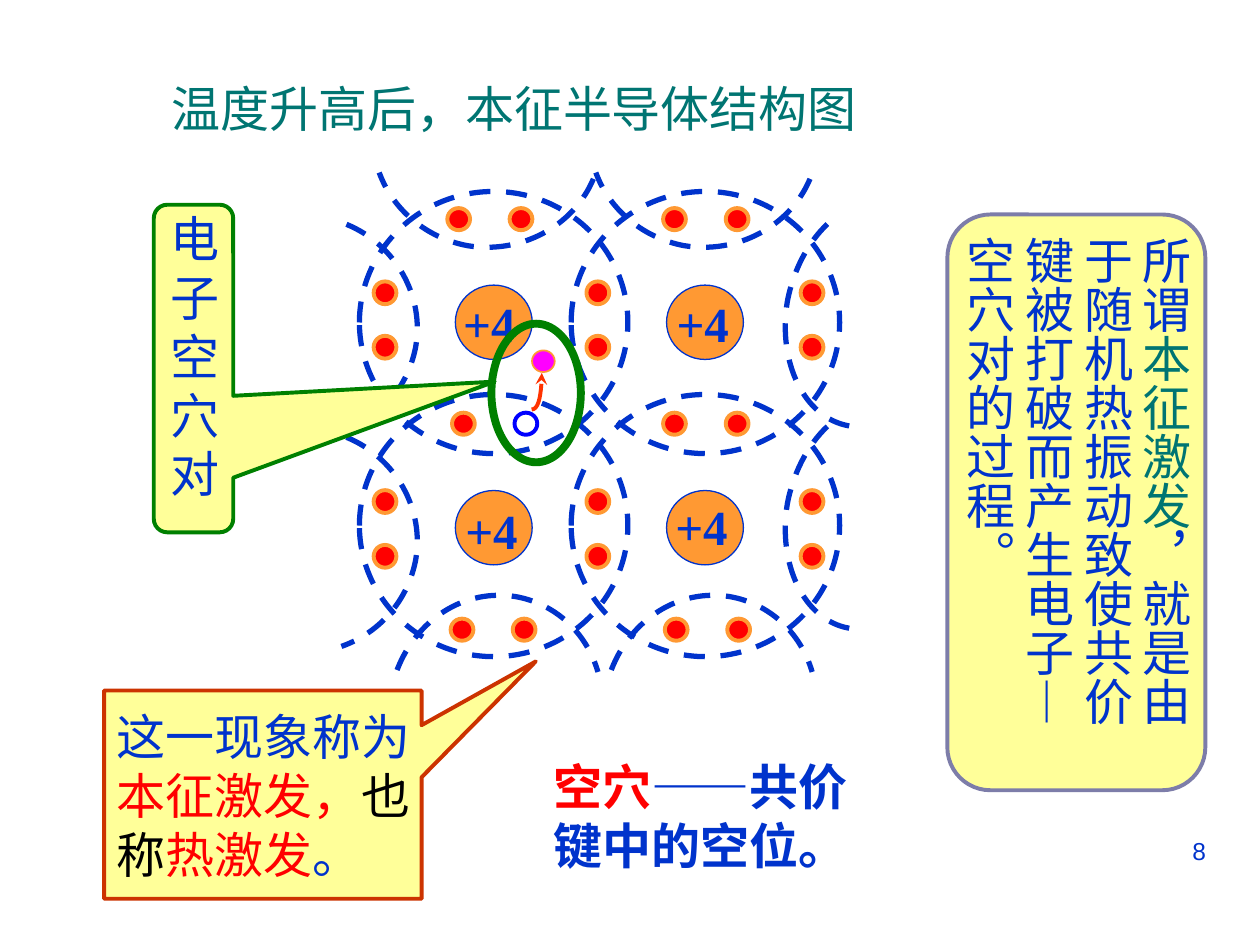
from itertools import product

from lxml.etree import SubElement
from pptx import Presentation
from pptx.dml.color import RGBColor
from pptx.enum.dml import MSO_LINE_DASH_STYLE as DASH
from pptx.enum.shapes import MSO_SHAPE as SHAPE
from pptx.enum.text import MSO_ANCHOR as ANCHOR, PP_ALIGN as ALIGN
from pptx.oxml.ns import qn
from pptx.util import Pt

COLORS = {
    "blue": "0033CC", "teal": "007572", "orange": "FF9933", "red": "FF0000",
    "magenta": "FF00FF", "hole": "0000FF", "arrow": "FF3300", "yellow": "FFFF99",
    "rust": "CC3300", "slate": "7D7DA9", "green": "008000", "black": "000000",
}


def paint(shape, fill, line, width, dash=None):
    shape.shadow.inherit = False
    if fill:
        shape.fill.solid()
        shape.fill.fore_color.rgb = RGBColor.from_string(COLORS[fill])
    else:
        shape.fill.background()
    shape.line.color.rgb = RGBColor.from_string(COLORS[line])
    shape.line.width = Pt(width)
    if dash:
        shape.line.dash_style = dash


def write(shape, paragraphs, align=ALIGN.LEFT, size=28, font="Arial", bold=False, **frame_format):
    frame = shape.text_frame
    for name, value in {"word_wrap": True, "vertical_anchor": ANCHOR.TOP, **frame_format}.items():
        setattr(frame, name, value)
    for index, runs in enumerate(paragraphs):
        paragraph = frame.add_paragraph() if index else frame.paragraphs[0]
        paragraph.alignment = align
        for text, color, *other_font in runs:
            run = paragraph.add_run()
            run.text = text
            run.font.color.rgb = RGBColor.from_string(COLORS[color])
            run_format = {"size": Pt(size), "bold": bold, "name": other_font[0] if other_font else font}
            for name, value in run_format.items():
                setattr(run.font, name, value)


presentation = Presentation()
presentation.slide_width, presentation.slide_height = Pt(720), Pt(540)
slide = presentation.slides.add_slide(presentation.slide_layouts[5])
shapes = slide.shapes

title = shapes.title
for name, value in {"left": 71.3, "top": 41, "width": 445, "height": 41}.items():
    setattr(title, name, Pt(value))
write(title, [[("温度升高后，本征半导体结构图", "teal")]], ALIGN.CENTER, vertical_anchor=ANCHOR.MIDDLE)

page_number = shapes.add_textbox(Pt(516.2), Pt(474), Pt(180), Pt(37.4))
write(page_number, [[("8", "blue")]], ALIGN.RIGHT, size=14)

lattice = shapes.add_group_shape().shapes
STYLES = {
    "shell": (None, "blue", 3, DASH.DASH),
    "nucleus": ("orange", "blue", 0.75),
    "electron": ("red", "orange", 2.25),
    "hole": (None, "hole", 2.25),
    "free electron": ("magenta", "orange", 1),
}
cells = list(product((0, 1), repeat=2))
ovals = [("shell", 205.4 + 121 * column, 109.4 + 116 * row, 153.4, 149.8) for row, column in cells]
ovals += [("nucleus", 260.2 + 120.7 * column, 162.9 + 117.4 * row, 43.9, 42.5) for row, column in cells]
ovals += [("electron", x, y, 13, 13)
          for x, y in product((213.5, 335.1, 457.5), (160.8, 191.9, 280.1, 311.4))]
bond_rows = {
    118.9: (255.6, 291.2, 378.9, 414.7),
    235.8: (258.3, 378.9, 414.7),
    353.5: (257.5, 293, 379.9, 415.6),
}
ovals += [("electron", x, y, 13, 12.6) for y, columns in bond_rows.items() for x in columns]
ovals += [("hole", 294, 235.8, 13, 12.6), ("free electron", 304, 200.2, 13, 12.4)]
for kind, *box in ovals:
    oval = lattice.add_shape(SHAPE.OVAL, *map(Pt, box))
    paint(oval, *STYLES[kind])

for x, y in ((264.7, 167.8), (386.6, 167.8), (265.9, 285.8), (385.9, 283.7)):
    charge = lattice.add_textbox(Pt(x), Pt(y), Pt(43.9), Pt(33.8))
    write(charge, [[("+4", "blue")]], font="Times New Roman", bold=True,
          margin_left=0, margin_top=0, margin_right=0, margin_bottom=0)

left_arc = [(198, 128.2), (226.1, 139.7), (242.6, 169.2), (237.6, 198),
            (233.3, 221), (217.4, 239.8), (195.1, 247.7)]
right_arc = [(485.3, 243.4), (459.4, 239), (444.2, 206.6), (450, 172.1),
             (453.6, 153.4), (463, 136.1), (475.2, 126)]
top_arc = [(339.1, 102.2), (327.6, 129.6), (297.4, 145.4), (267.1, 140.4),
           (244.1, 136.1), (224.6, 120.2), (216.7, 98.6)]
bottom_arc = [(226.9, 382.9), (238, 354), (265.5, 336), (295, 341),
              (317, 345), (335, 361), (341.7, 384)]
jump = [(303.8, 234), (307.4, 234), (309.6, 224.6), (309.6, 213.1)]
edge_arcs = ((left_arc, 0, 121.7), (right_arc, 0, 115.6), (top_arc, 123.8, 0), (bottom_arc, 122.4, 0))
curves = [([(x + dx * step, y + dy * step) for x, y in arc], STYLES["shell"])
          for arc, dx, dy in edge_arcs for step in (0, 1)]
curves.append((jump, (None, "arrow", 2.25)))
for controls, style in curves:
    points = [(Pt(x), Pt(y)) for x, y in controls]
    builder = lattice.build_freeform(*points[0])
    builder.add_line_segments(points[1:], close=False)
    curve = builder.convert_to_shape()
    outline = curve.element.find(".//" + qn("a:path"))
    for index, segment in enumerate(outline.findall(qn("a:lnTo"))):
        if index % 3 == 0:
            bezier = SubElement(outline, qn("a:cubicBezTo"))
        bezier.append(segment[0])
        outline.remove(segment)
    paint(curve, *style)
SubElement(curve.element.spPr.find(qn("a:ln")), qn("a:tailEnd"), type="stealth")

phenomenon = shapes.add_shape(SHAPE.RECTANGULAR_CALLOUT, Pt(59.5), Pt(394.6), Pt(181.4), Pt(119))
paint(phenomenon, "yellow", "rust", 2.25)
phenomenon.adjustments[0], phenomenon.adjustments[1] = 0.86, -0.64
write(phenomenon, [
    [("这一现象称为", "blue")],
    [("本征激发，", "red"), ("也", "black")],
    [("称", "black"), ("热激发", "red"), ("。", "blue")],
], font="Times New Roman", word_wrap=False, vertical_anchor=ANCHOR.MIDDLE)

definition = shapes.add_group_shape().shapes
panel = definition.add_shape(SHAPE.FLOWCHART_ALTERNATE_PROCESS, Pt(541.4), Pt(122.6), Pt(147.4), Pt(329))
paint(panel, "yellow", "slate", 2.25)
definition_text = definition.add_textbox(Pt(537.8), Pt(128.2), Pt(148.7), Pt(317.5))
write(definition_text, [[
    ("所谓", "blue"),
    ("本征激发", "teal"),
    ("，就是由于随机热振动致使共价键被打破而产生电子", "blue"),
    ("—", "blue", "Times New Roman"),
    ("空穴对的过程。", "blue"),
]], font="DejaVu Sans")
definition_text.element.find(".//" + qn("a:bodyPr")).set("vert", "eaVert")

pair_ring = shapes.add_shape(SHAPE.OVAL, Pt(280.8), Pt(185), Pt(51.1), Pt(79.2))
paint(pair_ring, None, "green", 4.5)

pair_label = shapes.add_shape(SHAPE.ROUNDED_RECTANGULAR_CALLOUT, Pt(87.9), Pt(117), Pt(45.4), Pt(187.2))
paint(pair_label, "yellow", "green", 2.25)
for index, value in enumerate((3.79, 0.04, 0.17)):
    pair_label.adjustments[index] = value
write(pair_label, [[("电子空穴对", "blue")]], ALIGN.CENTER, font="DejaVu Sans", margin_top=0)

hole_note = shapes.add_textbox(Pt(309.2), Pt(428.6), Pt(209.5), Pt(74.2))
write(hole_note, [[("空穴", "red"), ("——共价键中的空位。", "blue")]], bold=True)

presentation.save("out.pptx")
